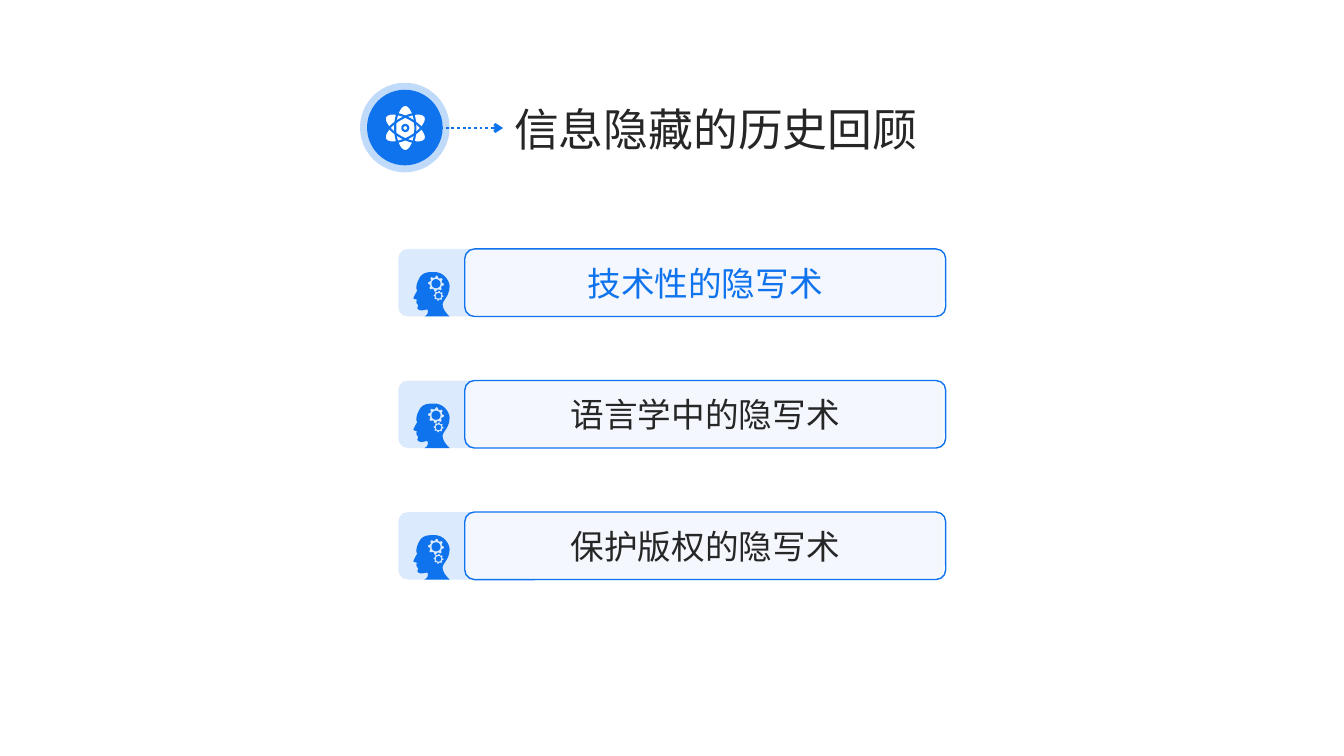
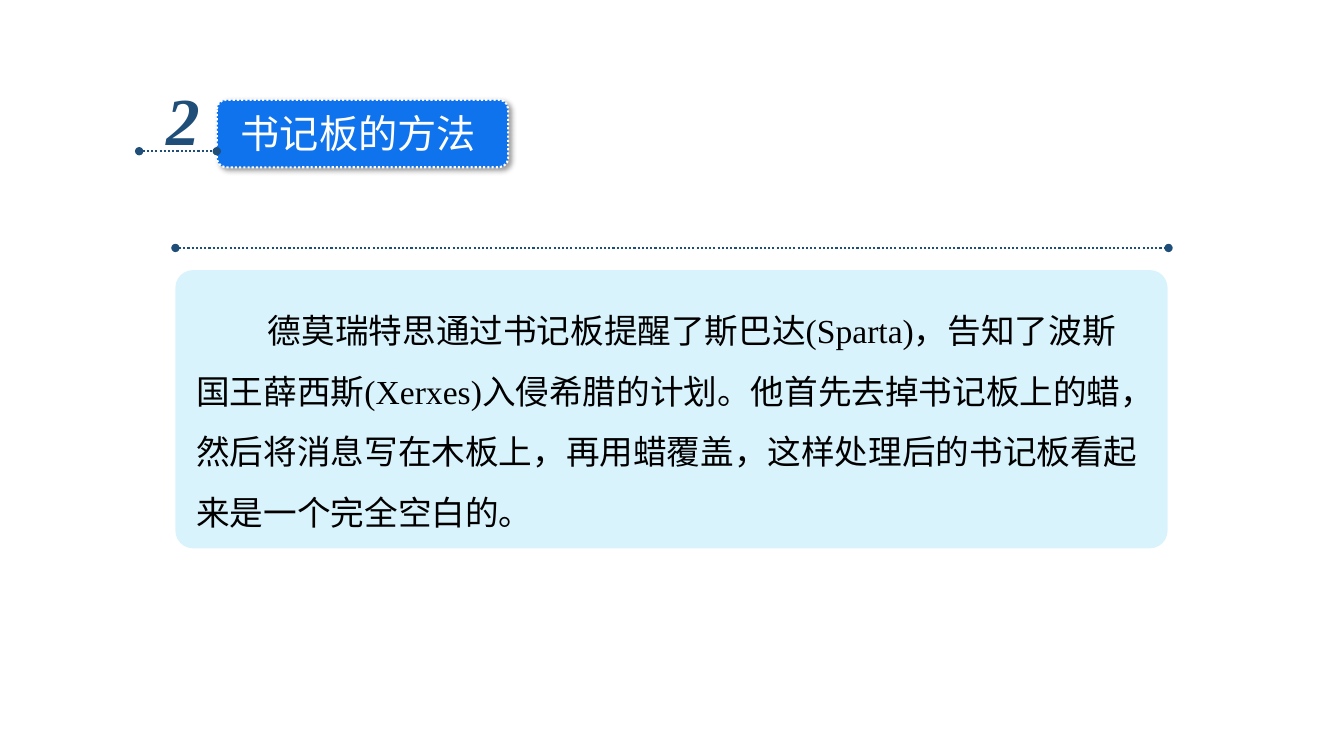
from math import cos, pi, sin

from lxml.etree import SubElement
from pptx import Presentation
from pptx.dml.color import RGBColor
from pptx.enum.dml import MSO_LINE
from pptx.enum.shapes import MSO_CONNECTOR, MSO_SHAPE as SHAPE
from pptx.enum.text import MSO_ANCHOR, MSO_AUTO_SIZE, PP_ALIGN
from pptx.oxml.ns import qn
from pptx.util import Inches, Pt

BLUE, NAVY, SKY = "0F73EE", "1F4E79", "00B0F0"
WHITE, BLACK, INK = "FFFFFF", "000000", "262626"
SANS, SERIF = "Noto Sans CJK SC", "Times New Roman"

HISTORY_TITLE = "信息隐藏的历史回顾"
TOPICS = [("技术性的隐写术", BLUE), ("语言学中的隐写术", INK), ("保护版权的隐写术", INK)]
TOPIC_TOP, TOPIC_STEP, TOPIC_HEIGHT = 2.47, 1.305, 0.67

METHOD_NUMBER, METHOD_TITLE = "2", "书记板的方法"
METHOD_TEXT = (
    "德莫瑞特思通过书记板提醒了斯巴达(Sparta)，告知了波斯国王薛西斯(Xerxes)入侵希腊的计划。"
    "他首先去掉书记板上的蜡，然后将消息写在木板上，再用蜡覆盖，"
    "这样处理后的书记板看起来是一个完全空白的。"
)

HEAD_START = (17, 0)
HEAD_CURVES = [
    (19, 0, 21, 0, 23, 0), (31, 1, 36, 9, 36, 14), (36, 24, 29, 28, 29, 32),
    (29, 38, 36, 44, 36, 44), (36, 44, 11, 44, 11, 44), (11, 44, 16, 42, 14, 37),
    (13, 37, 10, 38, 8, 38), (6, 38, 5, 37, 4, 36), (4, 35, 5, 33, 5, 33),
    (4, 32, 3, 31, 3, 29), (4, 28, 3, 27, 3, 27), (3, 27, 1, 27, 0, 26),
    (0, 25, 4, 18, 4, 18), (4, 18, 3, 17, 3, 16), (3, 15, 3, 11, 6, 6),
    (8, 2, 12, 0, 17, 0),
]
GEARS = [(22.5, 11.5, 8, 6.2, 4.5), (25, 23.5, 5, 3.9, 2.7)]


def rgb(color):
    return RGBColor.from_string(color)


def set_alpha(el, percent):
    SubElement(el.find(qn("a:solidFill"))[0], qn("a:alpha"), val=str(percent * 1000))


def set_line(line, color, width, dash=None):
    line.color.rgb = rgb(color)
    line.width = Pt(width)
    if dash:
        line.dash_style = dash


def add_shape(shapes, kind, x, y, w, h, fill=None, alpha=None, line=None, adj=None):
    sp = shapes.add_shape(kind, Inches(x), Inches(y), Inches(w), Inches(h))
    sp.shadow.inherit = False
    if adj is not None:
        sp.adjustments[0] = adj
    if fill:
        sp.fill.solid()
        sp.fill.fore_color.rgb = rgb(fill)
        if alpha:
            set_alpha(sp.element.spPr, alpha)
    else:
        sp.fill.background()
    if line:
        set_line(sp.line, *line)
    else:
        sp.line.fill.background()
    return sp


def add_dotted_line(shapes, x1, x2, y, color, width, head=None, tail=None):
    cn = shapes.add_connector(MSO_CONNECTOR.STRAIGHT, Inches(x1), Inches(y), Inches(x2), Inches(y))
    set_line(cn.line, color, width, MSO_LINE.ROUND_DOT)
    spPr = cn.element.spPr
    for tag, end in (("a:headEnd", head), ("a:tailEnd", tail)):
        if end:
            SubElement(spPr.find(qn("a:ln")), qn(tag), type=end)
    SubElement(spPr, qn("a:effectLst"))


def write(tf, text, size, font, color):
    p = tf.paragraphs[0]
    p.text = text
    p.font.size = Pt(size)
    p.font.color.rgb = rgb(color)
    p.font.name = font
    SubElement(p._p.pPr.find(qn("a:defRPr")), qn("a:ea"), typeface=SANS)
    return p


def add_text(shapes, x, y, w, h, text, size, font, color, wrap=False):
    tf = shapes.add_textbox(Inches(x), Inches(y), Inches(w), Inches(h)).text_frame
    tf.word_wrap = wrap
    tf.auto_size = MSO_AUTO_SIZE.SHAPE_TO_FIT_TEXT
    return write(tf, text, size, font, color)


def head_outline(steps=6):
    points = [HEAD_START]
    for x1, y1, x2, y2, x3, y3 in HEAD_CURVES:
        x0, y0 = points[-1]
        for i in range(1, steps + 1):
            t = i / steps
            a, b, c, d = (1 - t) ** 3, 3 * t * (1 - t) ** 2, 3 * t * t * (1 - t), t ** 3
            points.append((a * x0 + b * x1 + c * x2 + d * x3, a * y0 + b * y1 + c * y2 + d * y3))
    return points


def ring(cx, cy, radii):
    n = len(radii)
    return [(cx + r * cos(2 * pi * i / n), cy + r * sin(2 * pi * i / n)) for i, r in enumerate(radii)]


def add_thinking_head(shapes, x, y):
    contours = [head_outline()]
    for cx, cy, tip, root, hole in GEARS:
        contours += [ring(cx, cy, [tip, tip, root, root] * 8), ring(cx, cy, [hole] * 24)]
    contours = [[(round(px * 100), round(py * 100)) for px, py in c] for c in contours]
    fb = shapes.build_freeform(*contours[0][0], scale=Inches(1) / 10000)
    for i, c in enumerate(contours):
        if i:
            fb.move_to(*c[0])
        fb.add_line_segments(c[1:], close=True)
    sp = fb.convert_to_shape(Inches(x), Inches(y))
    sp.shadow.inherit = False
    sp.fill.solid()
    sp.fill.fore_color.rgb = rgb(BLUE)
    sp.line.fill.background()


def add_atom(shapes, cx, cy):
    w, h, core = 0.2, 0.46, 0.06
    for fill, line in ((WHITE, None), (None, (BLUE, 1.5))):
        for angle in (0, 60, 120):
            orbit = add_shape(shapes, SHAPE.OVAL, cx - w / 2, cy - h / 2, w, h, fill, line=line)
            orbit.rotation = angle
    add_shape(shapes, SHAPE.OVAL, cx - core / 2, cy - core / 2, core, core, WHITE, line=(BLUE, 1.5))


def add_topic(shapes, y, text, color):
    add_shape(shapes, SHAPE.ROUNDED_RECTANGLE, 3.95, y, 5.41, TOPIC_HEIGHT, BLUE, 15, adj=0.143)
    add_thinking_head(shapes, 4.1, y + TOPIC_HEIGHT - 0.44)
    box = add_shape(shapes, SHAPE.ROUNDED_RECTANGLE, 4.61, y, 4.77, TOPIC_HEIGHT,
                    WHITE, 70, (BLUE, 1), 0.143)
    box.text_frame.word_wrap = True
    box.text_frame.vertical_anchor = MSO_ANCHOR.MIDDLE
    write(box.text_frame, text, 24, SERIF, color).alignment = PP_ALIGN.CENTER


def build_history(s):
    badge = add_shape(s.shapes, SHAPE.OVAL, 3.64, 0.89, 0.75, 0.75, BLUE, line=(BLUE, 10))
    set_alpha(badge.element.spPr.find(qn("a:ln")), 25)
    add_dotted_line(s.shapes, 4.31, 4.99, 1.27, BLUE, 2, tail="arrow")
    add_atom(s.shapes.add_group_shape().shapes, 4.02, 1.27)
    add_text(s.shapes, 5, 0.96, 4.24, 0.64, HISTORY_TITLE, 32, SANS, INK)
    for i, (text, color) in enumerate(TOPICS):
        add_topic(s.shapes.add_group_shape().shapes, TOPIC_TOP + i * TOPIC_STEP, text, color)


def build_method(s):
    shapes = s.shapes.add_group_shape().shapes
    tag = add_shape(shapes, SHAPE.ROUNDED_RECTANGLE, 2.15, 0.99, 2.89, 0.67, BLUE,
                    line=(WHITE, 1.5, MSO_LINE.ROUND_DOT), adj=0.137)
    shadow = SubElement(tag.element.spPr.find(qn("a:effectLst")), qn("a:outerShdw"),
                        blurRad=str(Pt(4)), dist=str(Pt(3)), dir="2700000", algn="tl", rotWithShape="0")
    SubElement(SubElement(shadow, qn("a:srgbClr"), val=BLACK), qn("a:alpha"), val="40000")
    add_text(shapes, 2.29, 1.04, 2.56, 0.57, METHOD_TITLE, 28, SANS, WHITE)
    number = add_text(shapes, 1.55, 0.73, 0.54, 0.91, METHOD_NUMBER, 48, SERIF, NAVY)
    number.font.bold = number.font.italic = True
    add_dotted_line(shapes, 1.38, 2.15, 1.5, NAVY, 1.5, "oval", "oval")

    shapes = s.shapes.add_group_shape().shapes
    add_dotted_line(shapes, 1.74, 11.59, 2.46, NAVY, 1.5, "oval", "oval")
    add_shape(shapes, SHAPE.ROUNDED_RECTANGLE, 1.74, 2.68, 9.84, 2.76, SKY, 15, adj=0.063)
    p = add_text(s.shapes, 1.85, 2.83, 9.63, 2.52, METHOD_TEXT, 24, SERIF, BLACK, wrap=True)
    p.line_spacing = 1.5
    p._p.pPr.set("marL", "0")
    p._p.pPr.set("indent", str(Inches(0.71)))


def main():
    prs = Presentation()
    prs.slide_width, prs.slide_height = Inches(13.33), Inches(7.5)
    for build in (build_history, build_method):
        build(prs.slides.add_slide(prs.slide_layouts[6]))
    prs.save("out.pptx")


if __name__ == "__main__":
    main()
